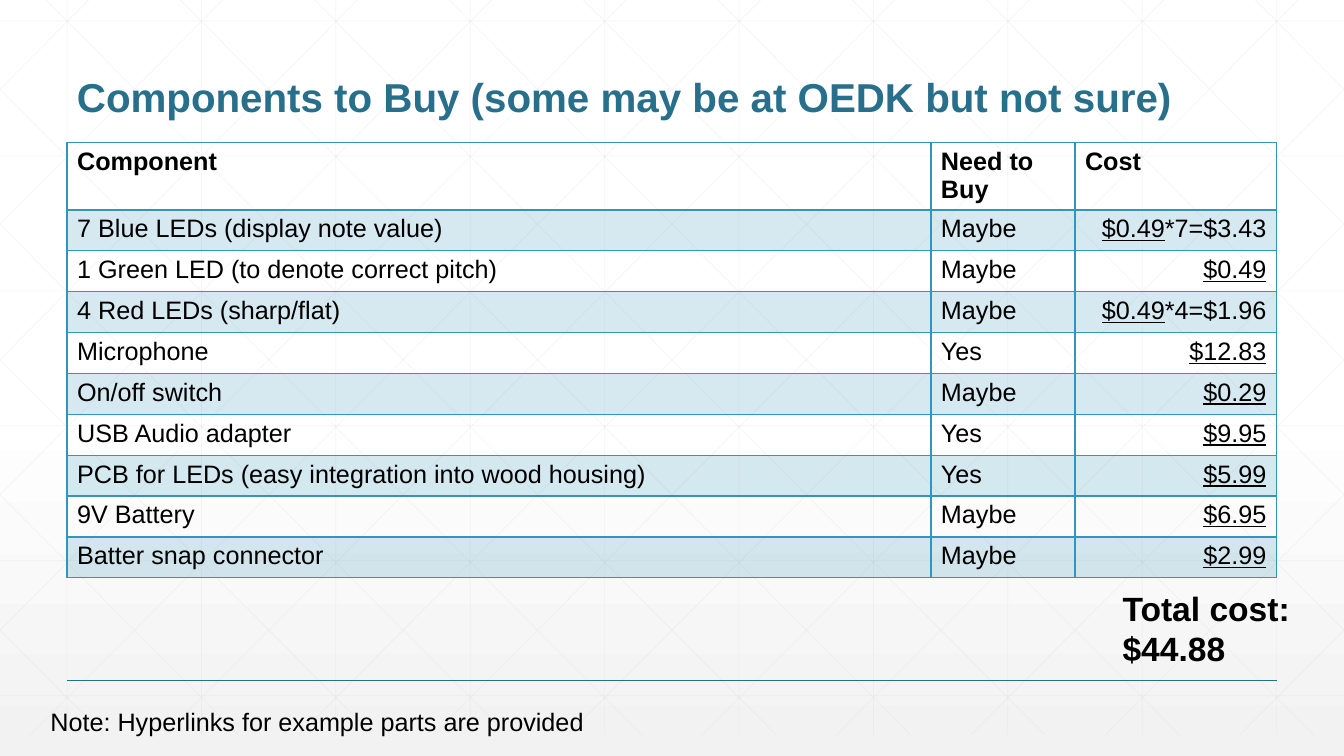
from lxml.etree import SubElement
from pptx import Presentation
from pptx.dml.color import RGBColor
from pptx.enum.shapes import MSO_CONNECTOR as Connector
from pptx.enum.text import MSO_ANCHOR as Anchor, PP_ALIGN as Align
from pptx.oxml import parse_xml
from pptx.oxml.ns import nsdecls, qn
from pptx.util import Cm, Pt

COLORS = {
    "white": "FFFFFF",
    "mist": "F2F2F2",
    "grid": "D9D9D9",
    "title": "276F8B",
    "accent": "3494BA",
    "text": "000000",
}
WIDTH, HEIGHT = 33.87, 19.05
MARGIN, TABLE_WIDTH = 1.69, 30.48


def draw_line(start, end, color, weight, alpha=100):
    line = page.shapes.add_connector(
        Connector.STRAIGHT, Cm(start[0]), Cm(start[1]), Cm(end[0]), Cm(end[1]))
    line.line.color.rgb = RGBColor.from_string(COLORS[color])
    line.line.width = Pt(weight)
    properties = line._element.spPr
    if alpha < 100:
        tint = properties.find(".//" + qn("a:srgbClr"))
        SubElement(tint, qn("a:alpha"), val=str(alpha * 1000))
    SubElement(properties, qn("a:effectLst"))


def style_span(span, size, color="text", bold=False, underline=False):
    span.font.name = "Arial"
    span.font.size = Pt(size)
    span.font.bold = bold
    span.font.underline = underline
    span.font.color.rgb = RGBColor.from_string(COLORS[color])


deck = Presentation()
deck.slide_width, deck.slide_height = Cm(WIDTH), Cm(HEIGHT)
page = deck.slides.add_slide(deck.slide_layouts[6])

backdrop = page.background.fill
backdrop.gradient()
backdrop.gradient_angle = 270
for stop, position, shade in zip(backdrop.gradient_stops, (0.53, 1), ("white", "mist")):
    stop.position = position
    stop.color.rgb = RGBColor.from_string(COLORS[shade])

GRID_TOP, GRID_BOTTOM = -0.53, 18.52
PITCH, RUN = WIDTH / 10, 18.93
SLOPE = (GRID_BOTTOM - GRID_TOP) / RUN
grid_lines = []
for column in range(10):
    x = MARGIN + column * PITCH
    grid_lines.append(((x, GRID_TOP), (x, GRID_BOTTOM)))
for row in range(6):
    y = 0.53 + row * 3.4
    grid_lines.append(((0, y), (WIDTH, y)))
for step in range(-5, 10):
    top_x = 0.63 + step * PITCH
    left, right = max(top_x, 0), min(top_x + RUN, WIDTH)
    upper = GRID_TOP + (left - top_x) * SLOPE
    lower = GRID_TOP + (right - top_x) * SLOPE
    grid_lines.append(((left, upper), (right, lower)))
    grid_lines.append(((WIDTH - left, upper), (WIDTH - right, lower)))
for start, end in grid_lines:
    draw_line(start, end, "grid", 0.5, 25)
draw_line((MARGIN, 17.15), (MARGIN + TABLE_WIDTH, 17.15), "title", 1)

rows = [
    ("Component", "Need to Buy", "Cost", ""),
    ("7 Blue LEDs (display note value)", "Maybe", "$0.49", "*7=$3.43"),
    ("1 Green LED (to denote correct pitch)", "Maybe", "$0.49", ""),
    ("4 Red LEDs (sharp/flat)", "Maybe", "$0.49", "*4=$1.96"),
    ("Microphone", "Yes", "$12.83", ""),
    ("On/off switch", "Maybe", "$0.29", ""),
    ("USB Audio adapter", "Yes", "$9.95", ""),
    ("PCB for LEDs (easy integration into wood housing)", "Yes", "$5.99", ""),
    ("9V Battery", "Maybe", "$6.95", ""),
    ("Batter snap connector", "Maybe", "$2.99", ""),
]
HEADER_HEIGHT, ROW_HEIGHT = 1.69, 1.03
table = page.shapes.add_table(
    len(rows), 3, Cm(MARGIN), Cm(3.6), Cm(TABLE_WIDTH),
    Cm(HEADER_HEIGHT + ROW_HEIGHT * (len(rows) - 1))).table
table.first_row = table.horz_banding = False
for column, width in zip(table.columns, (21.77, 3.63, 5.08)):
    column.width = Cm(width)

for row_index, (component, need, price, total) in enumerate(rows):
    header = row_index == 0
    table.rows[row_index].height = Cm(HEADER_HEIGHT if header else ROW_HEIGHT)
    for column_index, wording in enumerate((component, need, price)):
        cell = table.cell(row_index, column_index)
        para = cell.text_frame.paragraphs[0]
        para.text = wording
        is_price = column_index == 2 and not header
        style_span(para.runs[0], 18, bold=header, underline=is_price)
        if is_price:
            para.alignment = Align.RIGHT
            if total:
                span = para.add_run()
                span.text = total
                style_span(span, 18)

        properties = cell._tc.get_or_add_tcPr()
        if row_index % 2:
            cell.fill.solid()
            cell.fill.fore_color.rgb = RGBColor.from_string(COLORS["accent"])
            tint = properties.find(".//" + qn("a:srgbClr"))
            SubElement(tint, qn("a:alpha"), val="20000")
        else:
            cell.fill.background()
        for order, side in enumerate("LRTB"):
            thick = (row_index, side) in ((0, "B"), (1, "T"))
            properties.insert(order, parse_xml(
                f'<a:ln{side} {nsdecls("a")} w="{Pt(2 if thick else 1)}"><a:solidFill>'
                f'<a:srgbClr val="{COLORS["accent"]}"/></a:solidFill></a:ln{side}>'))

texts = [
    ("Components to Buy (some may be at OEDK but not sure)",
     (MARGIN, 0.64, TABLE_WIDTH, 2.54), 28.8, "title", True, True, Anchor.BOTTOM),
    ("Note: Hyperlinks for example parts are provided",
     (1.02, 17.68, 14.27, 1.02), 18, "text", False, False, Anchor.TOP),
    ("Total cost: $44.88",
     (28.04, 14.68, 5.61, 2.31), 24, "text", True, True, Anchor.TOP),
]
for wording, place, size, color, bold, wrap, anchor in texts:
    box = page.shapes.add_textbox(*map(Cm, place))
    box.text_frame.word_wrap = wrap
    box.text_frame.vertical_anchor = anchor
    para = box.text_frame.paragraphs[0]
    para.text = wording
    if color == "title":
        para.line_spacing = 0.9
    style_span(para.runs[0], size, color, bold)

deck.save("out.pptx")
